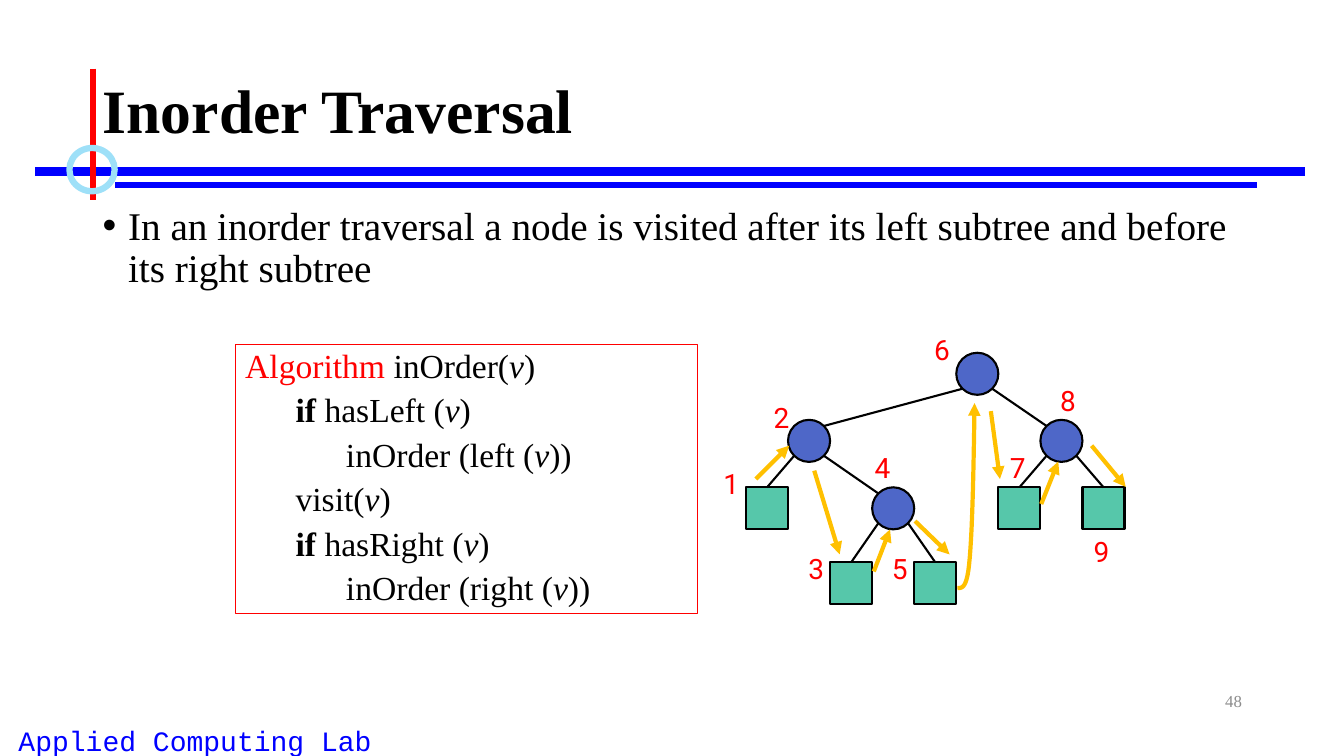
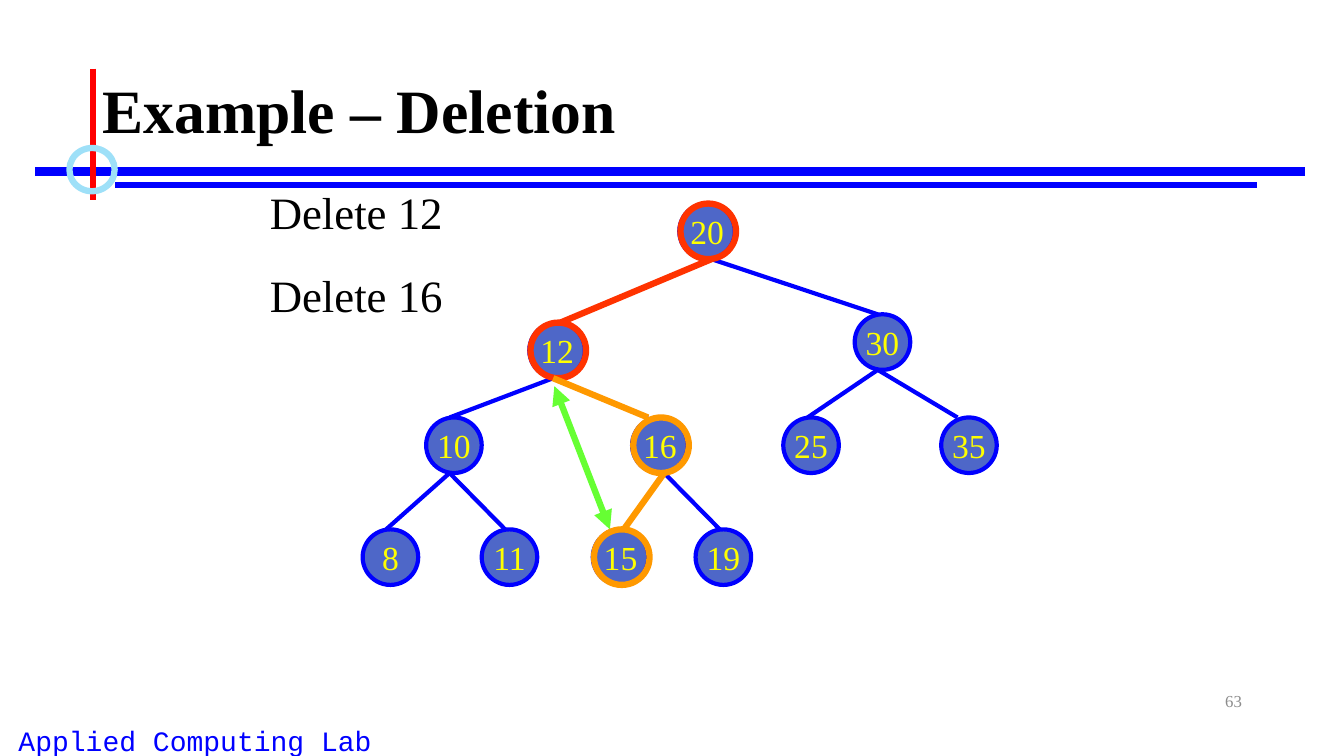
from pptx import Presentation
from pptx.dml.color import RGBColor
from pptx.enum.shapes import MSO_CONNECTOR, MSO_SHAPE
from pptx.enum.text import MSO_ANCHOR, PP_ALIGN
from pptx.oxml.ns import qn
from pptx.util import Cm, Pt
from lxml import etree

SERIF, MONO, SANS = "Times New Roman", "Courier New", "Roboto"
BLACK, RED, BLUE, SKY, GREY = "000000", "FF0000", "0000FF", "9EE0F8", "8C8C8C"
INDIGO, TEAL, AMBER, YELLOW = "4E67C8", "56C7AA", "FFC000", "FFFF00"
SCARLET, ORANGE, LIME = "FF3300", "FF9900", "66FF33"

# Inorder number: (level, label left, label top)
TRAVERSAL_NODES = {
    1: (2, 17.98, 11.63), 2: (1, 19.25, 9.96), 3: (3, 20.12, 13.77),
    4: (2, 21.79, 11.23), 5: (3, 22.23, 13.77), 6: (0, 23.29, 8.26),
    7: (2, 25.2, 11.23), 8: (1, 26.47, 9.53), 9: (2, 27.31, 13.34),
}
TRAVERSAL_CHILDREN = {6: (2, 8), 2: (1, 4), 4: (3, 5), 8: (7, 9)}
LEVEL_TOPS = (8.89, 10.58, 12.28, 14.17)
NODE_SIZE = 1.06
TREE_LEFT = 18.8

VISIT_ARROWS = [
    (19.05, 12.07, 19.89, 11.23), (20.52, 11.86, 21.16, 13.97),
    (22.02, 14.4, 22.43, 13.34), (23.06, 13.13, 23.93, 13.97),
    (24.97, 10.36, 25.2, 12.07), (26.24, 12.7, 26.67, 11.63),
    (27.51, 11.23, 28.37, 12.27),
]
RETURN_CURVE = [
    ((24.13, 14.82), (24.26, 14.82), (24.38, 14.82), (24.44, 14.05)),
    ((24.44, 14.05), (24.51, 13.26), (24.54, 11.71), (24.56, 10.16)),
]

# (indent level, [(text, style)])
ALGORITHM = [
    (0, [("Algorithm ", "red"), ("inOrder(", ""), ("v", "italic"), (")", "")]),
    (1, [("if ", "bold"), ("hasLeft (", ""), ("v", "italic"), (")", "")]),
    (2, [("inOrder (left (", ""), ("v", "italic"), ("))", "")]),
    (1, [("visit(", ""), ("v", "italic"), (")", "")]),
    (1, [("if ", "bold"), ("hasRight (", ""), ("v", "italic"), (")", "")]),
    (2, [("inOrder (right (", ""), ("v", "italic"), ("))", "")]),
]

# Key: (left, top, x where the upper edge arrives, x where lower edges leave)
SEARCH_NODES = {
    20: (17.12, 5.13, None, 17.93), 12: (13.34, 8.13, 14.12, 13.94),
    30: (21.54, 7.92, 22.12, 22.12), 10: (10.74, 10.52, 11.33, 11.33),
    16: (15.93, 10.52, 16.33, 16.74), 25: (19.74, 10.52, 20.35, None),
    35: (23.72, 10.52, 24.13, None), 8: (9.14, 13.34, 9.73, None),
    11: (12.14, 13.34, 12.73, None), 15: (14.94, 13.34, 15.72, None),
    19: (17.53, 13.34, 18.14, None),
}
SEARCH_CHILDREN = {20: (12, 30), 30: (25, 35), 12: (16, 10),
                   10: (8, 11), 16: (15, 19)}
KEY_SIZE = 1.4


def rgb(color):
    return RGBColor.from_string(color)


def add_run(p, text, size, color=BLACK, font=SERIF, bold=False, italic=False):
    r = p.add_run()
    r.text = text
    f = r.font
    f.size, f.name, f.bold, f.italic = Pt(size), font, bold, italic
    f.color.rgb = rgb(color)


def add_text(s, box, text, size, color=BLACK, font=SERIF, bold=False,
             align=PP_ALIGN.LEFT, anchor=MSO_ANCHOR.TOP, wrap=True):
    """Add a one-paragraph text box and return the paragraph."""
    tf = s.shapes.add_textbox(*map(Cm, box)).text_frame
    tf.word_wrap, tf.vertical_anchor = wrap, anchor
    p = tf.paragraphs[0]
    p.alignment = align
    add_run(p, text, size, color, font, bold)
    return p


def add_shape(s, kind, box, line, width, fill=None):
    sp = s.shapes.add_shape(kind, *map(Cm, box))
    sp.shadow.inherit = False
    if fill:
        sp.fill.solid()
        sp.fill.fore_color.rgb = rgb(fill)
    else:
        sp.fill.background()
    sp.line.color.rgb, sp.line.width = rgb(line), Pt(width)
    return sp


def add_arrowheads(sp, *ends):
    """Put a triangle on each of the ends, named headEnd and tailEnd."""
    ln = sp.line._get_or_add_ln()
    for end in ends:
        etree.SubElement(ln, qn("a:" + end), type="triangle")


def add_line(s, x1, y1, x2, y2, color, width, heads=()):
    c = s.shapes.add_connector(MSO_CONNECTOR.STRAIGHT,
                               Cm(x1), Cm(y1), Cm(x2), Cm(y2))
    c.line.color.rgb, c.line.width = rgb(color), Pt(width)
    etree.SubElement(c._element.spPr, qn("a:effectLst"))
    add_arrowheads(c, *heads)
    return c


def add_curve(s, segments, color, width, steps=12):
    """Draw joined cubic Bézier segments, ending in an arrowhead."""
    points = []
    for a, b, c, d in segments:
        for i in range(1, steps + 1):
            t = i / steps
            u = 1 - t
            points.append(tuple(
                Cm(u**3 * a[k] + 3 * u * u * t * b[k]
                   + 3 * u * t * t * c[k] + t**3 * d[k]) for k in (0, 1)))
    builder = s.shapes.build_freeform(*map(Cm, segments[0][0]))
    builder.add_line_segments(points, close=False)
    sp = builder.convert_to_shape()
    sp.shadow.inherit = False
    sp.fill.background()
    sp.line.color.rgb, sp.line.width = rgb(color), Pt(width)
    add_arrowheads(sp, "tailEnd")


def new_slide(prs, title, number):
    """Add a slide with the common frame, title, footer and number."""
    s = prs.slides.add_slide(prs.slide_layouts[6])
    add_text(s, (0, 18.11, 9.84, 0.94), "Applied Computing Lab", 20, BLUE,
             MONO, align=PP_ALIGN.CENTER)
    add_line(s, 0.89, 4.32, 32.89, 4.32, BLUE, 6)
    add_line(s, 2.9, 4.67, 31.67, 4.67, BLUE, 4.5)
    add_line(s, 2.34, 1.73, 2.34, 5.05, RED, 4.5)
    add_shape(s, MSO_SHAPE.OVAL, (1.75, 3.73, 1.14, 1.09), SKY, 4.5)
    p = add_text(s, (2.34, 1.02, 29.21, 3.68), title, 44, bold=True,
                 anchor=MSO_ANCHOR.MIDDLE)
    p.line_spacing = 0.9
    add_text(s, (23.93, 17.15, 7.62, 1.02), number, 12, GREY,
             align=PP_ALIGN.RIGHT, anchor=MSO_ANCHOR.MIDDLE)
    return s


def add_bullet(s, box, text):
    p = add_text(s, box, text, 28)
    p.line_spacing = 0.9
    pPr = p._p.get_or_add_pPr()
    pPr.set("marL", str(Cm(0.64)))
    pPr.set("indent", str(-Cm(0.64)))
    etree.SubElement(pPr, qn("a:buFont"), typeface="Arial")
    etree.SubElement(pPr, qn("a:buChar"), char="•")


def add_algorithm(s, box):
    tf = add_shape(s, MSO_SHAPE.RECTANGLE, box, RED, 0.75).text_frame
    tf.word_wrap, tf.vertical_anchor = True, MSO_ANCHOR.TOP
    for i, (level, runs) in enumerate(ALGORITHM):
        p = tf.add_paragraph() if i else tf.paragraphs[0]
        p.alignment, p.line_spacing = PP_ALIGN.LEFT, 0.9
        p._p.get_or_add_pPr().set("marL", str(Cm(1.27 * level)))
        if i:
            p.space_before = Pt(5.8)
        for text, style in runs:
            add_run(p, text, 24, RED if style == "red" else BLACK,
                    bold=style == "bold", italic=style == "italic")


def add_traversal_tree(s):
    """Place each node in the column of its inorder number."""
    radius = NODE_SIZE / 2
    diagonal = radius * 0.71
    nodes, centers = {}, {}
    for n, (level, label_left, label_top) in TRAVERSAL_NODES.items():
        left, top = TREE_LEFT + (n - 1) * NODE_SIZE, LEVEL_TOPS[level]
        inner = n in TRAVERSAL_CHILDREN
        nodes[n] = add_shape(
            s, MSO_SHAPE.OVAL if inner else MSO_SHAPE.RECTANGLE,
            (left, top, NODE_SIZE, NODE_SIZE), BLACK, 1.5,
            INDIGO if inner else TEAL)
        centers[n] = left + radius, top + radius
        add_text(s, (label_left, label_top, 0.89, 1.09), str(n), 20, RED,
                 SANS, align=PP_ALIGN.CENTER, wrap=False)
    for parent, children in TRAVERSAL_CHILDREN.items():
        px, py = centers[parent]
        for child, side in zip(children, (-1, 1)):
            cx, cy = centers[child]
            edge = add_line(s, px + side * diagonal, py + diagonal,
                            cx - side * diagonal, cy - diagonal, BLACK, 1.5)
            if child not in TRAVERSAL_CHILDREN:
                edge.end_connect(nodes[child], 0)


def add_key(s, key):
    left, top = SEARCH_NODES[key][:2]
    sp = add_shape(s, MSO_SHAPE.OVAL, (left, top, KEY_SIZE, KEY_SIZE),
                   BLUE, 3, INDIGO)
    tf = sp.text_frame
    tf.word_wrap, tf.vertical_anchor = False, MSO_ANCHOR.MIDDLE
    p = tf.paragraphs[0]
    p.alignment = PP_ALIGN.CENTER
    add_run(p, str(key), 24, YELLOW)


def add_key_edge(s, parent, child, color, width):
    _, parent_top, _, x1 = SEARCH_NODES[parent]
    _, y2, x2, _ = SEARCH_NODES[child]
    add_line(s, x1, parent_top + KEY_SIZE, x2, y2, color, width)


def highlight_key(s, key, color, parent=None):
    """Ring a key and, if given, colour the edge from its parent."""
    if parent:
        add_key_edge(s, parent, key, color, 4.5)
    left, top = SEARCH_NODES[key][:2]
    add_shape(s, MSO_SHAPE.OVAL, (left + 0.03, top, KEY_SIZE, KEY_SIZE),
              color, 4.5)


def inorder_slide(prs):
    s = new_slide(prs, "Inorder Traversal", "48")
    add_bullet(s, (2.34, 5.08, 29.21, 12.09),
               "In an inorder traversal a node is visited after its left "
               "subtree and before its right subtree")
    add_algorithm(s, (5.93, 8.68, 11.64, 6.78))
    add_traversal_tree(s)
    for arrow in VISIT_ARROWS:
        add_line(s, *arrow, AMBER, 3, ["tailEnd"])
    add_curve(s, RETURN_CURVE, AMBER, 3)


def deletion_slide(prs):
    s = new_slide(prs, "Example – Deletion", "63")
    for key in SEARCH_NODES:
        add_key(s, key)
    for parent, children in SEARCH_CHILDREN.items():
        for child in children:
            add_key_edge(s, parent, child, BLUE, 3)
    highlight_key(s, 20, SCARLET)
    highlight_key(s, 12, SCARLET, parent=20)
    highlight_key(s, 16, ORANGE, parent=12)
    highlight_key(s, 15, ORANGE, parent=16)
    add_line(s, 13.97, 9.73, 15.37, 13.34, LIME, 4.5, ["headEnd", "tailEnd"])
    for text, top in (("Delete 12", 4.52), ("Delete 16", 6.63)):
        add_text(s, (6.55, top, 4.93, 1.6), text, 32, wrap=False)


def main():
    prs = Presentation()
    prs.slide_width, prs.slide_height = Cm(33.87), Cm(19.05)
    inorder_slide(prs)
    deletion_slide(prs)
    prs.save("out.pptx")


if __name__ == "__main__":
    main()
